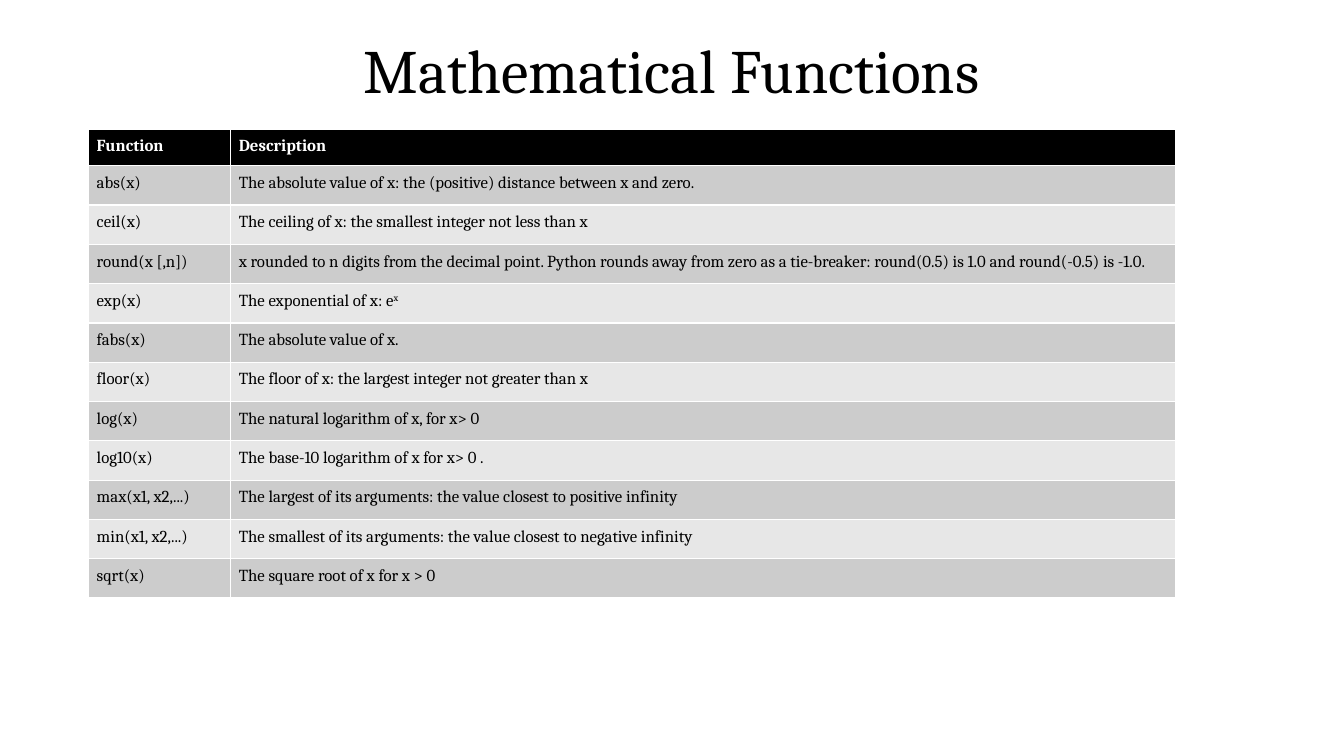
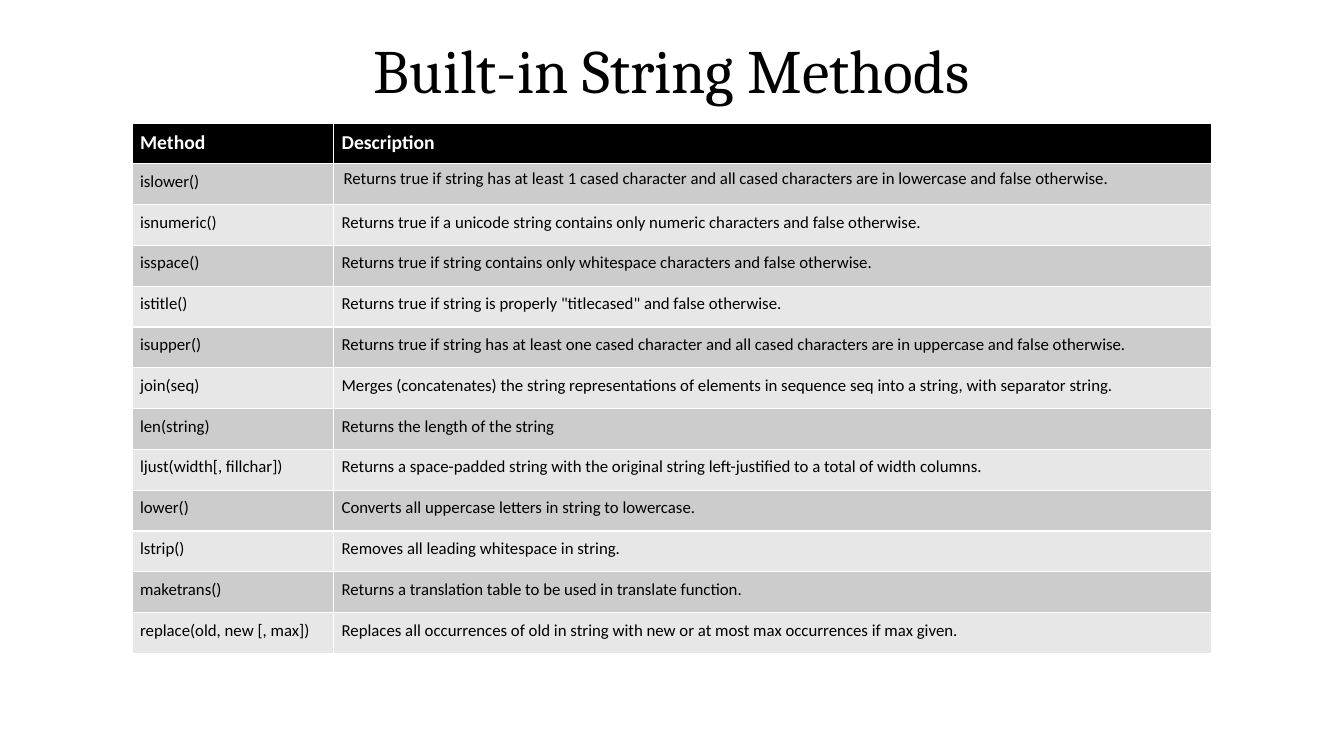
import dataclasses

import pptx
import pptx.dml.color
import pptx.enum.text
import pptx.util

ALIGN = pptx.enum.text.PP_ALIGN
ANCHOR = pptx.enum.text.MSO_ANCHOR
SCALE = 4572  # EMU in one px, 200 px to the inch
WIDE, HIGH = 2667, 1500


def px(count):
    return pptx.util.Emu(count * SCALE)


@dataclasses.dataclass(frozen=True)
class Theme:
    ink: str = "000000"
    paper: str = "FFFFFF"
    bands: tuple = ("CCCCCC", "E7E7E7")
    serif: str = "Cambria"
    sans: str = "Calibri"
    title: int = 44
    head: int = 14
    body: int = 12


@dataclasses.dataclass(frozen=True)
class Grid:
    """Place and type of one table; pads holds insets (side, top) by cell."""
    left: int
    top: int
    cols: tuple
    head: int
    row: int
    face: str
    size: int
    align: ALIGN = ALIGN.LEFT
    pads: dict = dataclasses.field(default_factory=dict)


class Deck:
    def __init__(self, theme):
        self.theme = theme
        self.file = pptx.Presentation()
        self.file.slide_width = px(WIDE)
        self.file.slide_height = px(HIGH)
        self.slide = None

    def start(self, title):
        self.slide = self.file.slides.add_slide(self.file.slide_layouts[6])
        box = self.slide.shapes.add_textbox(0, 0, px(WIDE), px(290))
        frame = box.text_frame
        frame.word_wrap = True
        frame.vertical_anchor = ANCHOR.MIDDLE
        para = frame.paragraphs[0]
        para.alignment = ALIGN.CENTER
        para.line_spacing = 0.9
        self.run(para, title, self.theme.serif, self.theme.title, self.theme.ink)

    def run(self, para, text, face, size, color, bold=False, power=False):
        """Add one run; power raises it as an exponent."""
        run = para.add_run()
        run.text = text
        font = run.font
        font.name, font.size, font.bold = face, pptx.util.Pt(size), bold
        font.color.rgb = pptx.dml.color.RGBColor.from_string(color)
        if power:
            run._r.get_or_add_rPr().set("baseline", "30000")

    def cell(self, cell, text, fill, pad, align, **style):
        """Fill a cell; a tuple of texts is a base and its exponent."""
        cell.fill.solid()
        cell.fill.fore_color.rgb = pptx.dml.color.RGBColor.from_string(fill)
        side, top = pad
        cell.margin_left = cell.margin_right = px(side)
        cell.margin_top = cell.margin_bottom = px(top)
        para = cell.text_frame.paragraphs[0]
        para.alignment = align
        parts = (text,) if isinstance(text, str) else text
        for spot, part in enumerate(parts):
            self.run(para, part, power=spot > 0, **style)

    def table(self, grid, heads, rows):
        """Add a table whose white rules come from the default table style."""
        theme = self.theme
        high = grid.head + grid.row * len(rows)
        table = self.slide.shapes.add_table(
            len(rows) + 1, len(heads), px(grid.left), px(grid.top),
            px(sum(grid.cols)), px(high)).table
        for col, wide in zip(table.columns, grid.cols):
            col.width = px(wide)
        for r, texts in enumerate([heads, *rows]):
            top = r == 0
            table.rows[r].height = px(grid.head if top else grid.row)
            fill = theme.ink if top else theme.bands[(r - 1) % 2]
            for c, text in enumerate(texts):
                self.cell(
                    table.cell(r, c), text, fill,
                    pad=grid.pads.get((r, c), (16, 15)),
                    align=ALIGN.LEFT if top or c else grid.align,
                    face=grid.face, bold=top,
                    size=grid.size if top else theme.body,
                    color=theme.paper if top else theme.ink)


MATH = [
    ("abs(x)", "The absolute value of x: the (positive) distance between x and zero."),
    ("ceil(x)", "The ceiling of x: the smallest integer not less than x"),
    ("round(x [,n])", "x rounded to n digits from the decimal point. Python rounds away "
     "from zero as a tie-breaker: round(0.5) is 1.0 and round(-0.5) is -1.0."),
    ("exp(x)", ("The exponential of x: e", "x")),
    ("fabs(x)", "The absolute value of x."),
    ("floor(x)", "The floor of x: the largest integer not greater than x"),
    ("log(x)", "The natural logarithm of x, for x> 0"),
    ("log10(x)", "The base-10 logarithm of x for x> 0 ."),
    ("max(x1, x2,...)", "The largest of its arguments: the value closest to positive infinity"),
    ("min(x1, x2,...)", "The smallest of its arguments: the value closest to negative infinity"),
    ("sqrt(x)", "The square root of x for x > 0"),
]

STRINGS = [
    ("islower()", "Returns true if string has at least 1 cased character and all cased "
     "characters are in lowercase and false otherwise."),
    ("isnumeric()", "Returns true if a unicode string contains only numeric characters "
     "and false otherwise."),
    ("isspace()", "Returns true if string contains only whitespace characters "
     "and false otherwise."),
    ("istitle()", 'Returns true if string is properly "titlecased" and false otherwise.'),
    ("isupper()", "Returns true if string has at least one cased character and all cased "
     "characters are in uppercase and false otherwise."),
    ("join(seq)", "Merges (concatenates) the string representations of elements in "
     "sequence seq into a string, with separator string."),
    ("len(string)", "Returns the length of the string"),
    ("ljust(width[, fillchar])", "Returns a space-padded string with the original string "
     "left-justified to a total of width columns."),
    ("lower()", "Converts all uppercase letters in string to lowercase."),
    ("lstrip()", "Removes all leading whitespace in string."),
    ("maketrans()", "Returns a translation table to be used in translate function."),
    ("replace(old, new [, max])", "Replaces all occurrences of old in string with new or "
     "at most max occurrences if max given."),
]


def main():
    theme = Theme()
    deck = Deck(theme)

    deck.start("Mathematical Functions")
    deck.table(
        Grid(left=176, top=256, cols=(282, 1874), head=73, row=78,
             face=theme.serif, size=theme.body, align=ALIGN.JUSTIFY),
        ("Function", "Description"), MATH)

    deck.start("Built-in String Methods")
    deck.table(
        Grid(left=262, top=244, cols=(400, 1742), head=81, row=81,
             face=theme.sans, size=theme.head, pads={(1, 1): (20, 10)}),
        ("Method", "Description"), STRINGS)

    deck.file.save("out.pptx")


if __name__ == "__main__":
    main()
